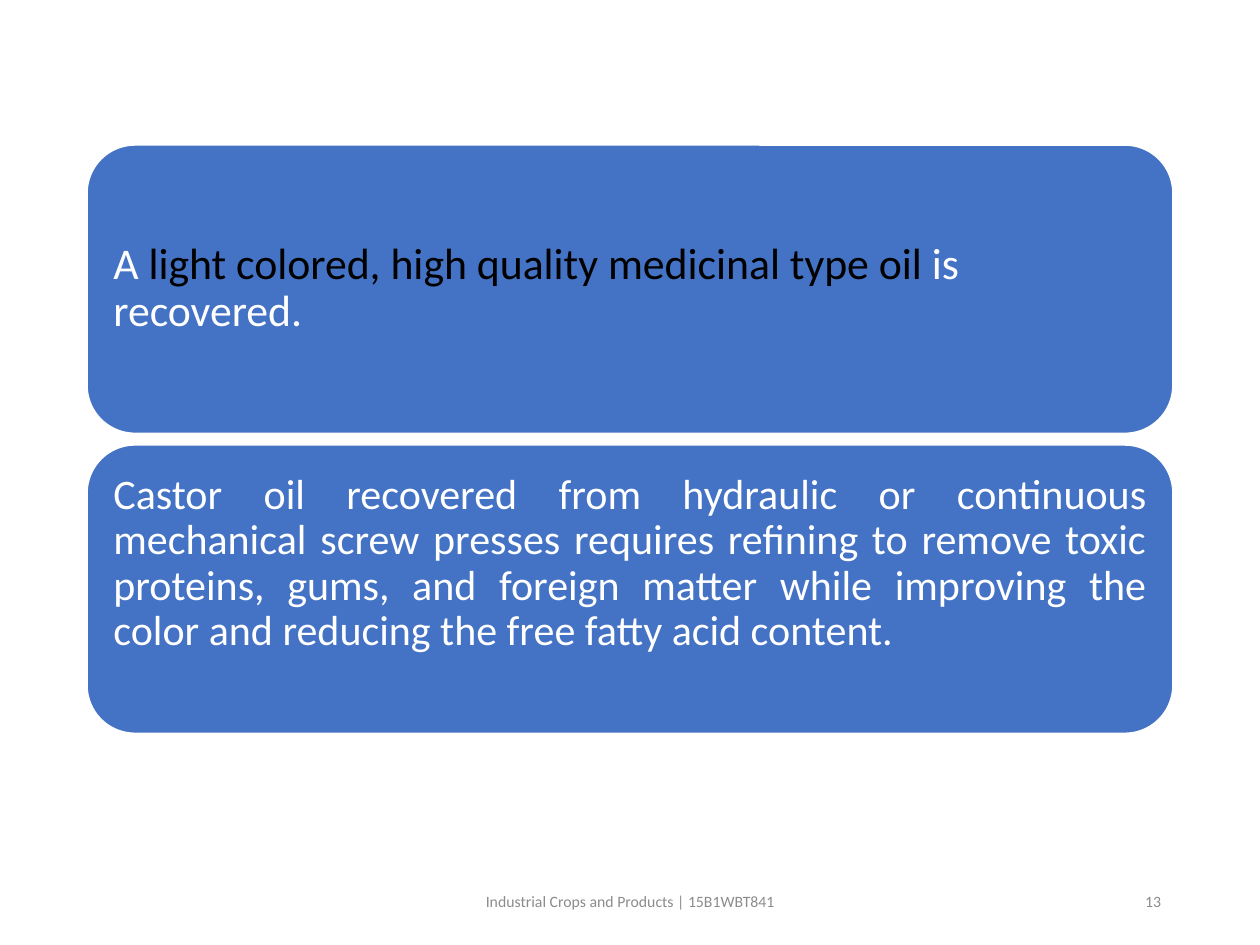
from pptx import Presentation
from pptx.dml.color import RGBColor
from pptx.enum import shapes, text
from pptx.util import Pt

BLUE = RGBColor(0x44, 0x72, 0xC4)
WHITE = RGBColor(0xFF, 0xFF, 0xFF)
BLACK = RGBColor(0, 0, 0)
GRAY = RGBColor(0x8C, 0x8C, 0x8C)

LEFT, TOP, WIDTH, HEIGHT = 49.7, 82.8, 620.6, 164.9
PITCH = 171.4
FOOTER_TOP, FOOTER_HEIGHT = 500.5, 28.8


class SlideBuilder:
    def __init__(self, slide, font="Calibri"):
        self.slide = slide
        self.font = font

    def fill_text(self, frame, spans, size, align):
        """Fill the frame with one paragraph of (wording, color) spans."""
        frame.word_wrap = True
        frame.vertical_anchor = text.MSO_ANCHOR.MIDDLE
        para = frame.paragraphs[0]
        para.alignment = align
        for wording, color in spans:
            span = para.add_run()
            span.text = wording
            span.font.name = self.font
            span.font.size = Pt(size)
            span.font.color.rgb = color
        return para

    def panel(self, top, spans, size, align, bottom_inset=15):
        box = self.slide.shapes.add_shape(
            shapes.MSO_SHAPE.ROUNDED_RECTANGLE,
            Pt(LEFT), Pt(top), Pt(WIDTH), Pt(HEIGHT))
        box.shadow.inherit = False
        box.fill.solid()
        box.fill.fore_color.rgb = BLUE
        box.line.color.rgb = WHITE
        box.line.width = Pt(1)
        frame = box.text_frame
        # The rounded corners inset the text area by a further 8 points.
        frame.margin_left = frame.margin_right = frame.margin_top = Pt(7.2)
        frame.margin_bottom = Pt(bottom_inset - 7.8)
        self.fill_text(frame, spans, size, align).line_spacing = 0.9

    def footer(self, left, width, wording, align):
        box = self.slide.shapes.add_textbox(
            Pt(left), Pt(FOOTER_TOP), Pt(width), Pt(FOOTER_HEIGHT))
        self.fill_text(box.text_frame, [(wording, GRAY)], 9, align)


def main():
    deck = Presentation()
    deck.slide_width, deck.slide_height = Pt(720), Pt(540)
    page = SlideBuilder(deck.slides.add_slide(deck.slide_layouts[6]))

    page.panel(TOP, [
        ("A ", WHITE),
        ("light colored, high quality medicinal type oil ", BLACK),
        ("is recovered.", WHITE),
    ], 25, text.PP_ALIGN.LEFT)
    page.panel(TOP + PITCH, [
        ("Castor oil recovered from hydraulic or continuous mechanical screw "
         "presses requires reﬁning to remove toxic proteins, gums, and foreign "
         "matter while improving the color and reducing the free fatty acid "
         "content.", WHITE),
    ], 24, text.PP_ALIGN.JUSTIFY, bottom_inset=44)

    page.footer(238.5, 243, "Industrial Crops and Products | 15B1WBT841",
                text.PP_ALIGN.CENTER)
    page.footer(508.5, 162, "13", text.PP_ALIGN.RIGHT)
    deck.save("out.pptx")


if __name__ == "__main__":
    main()
